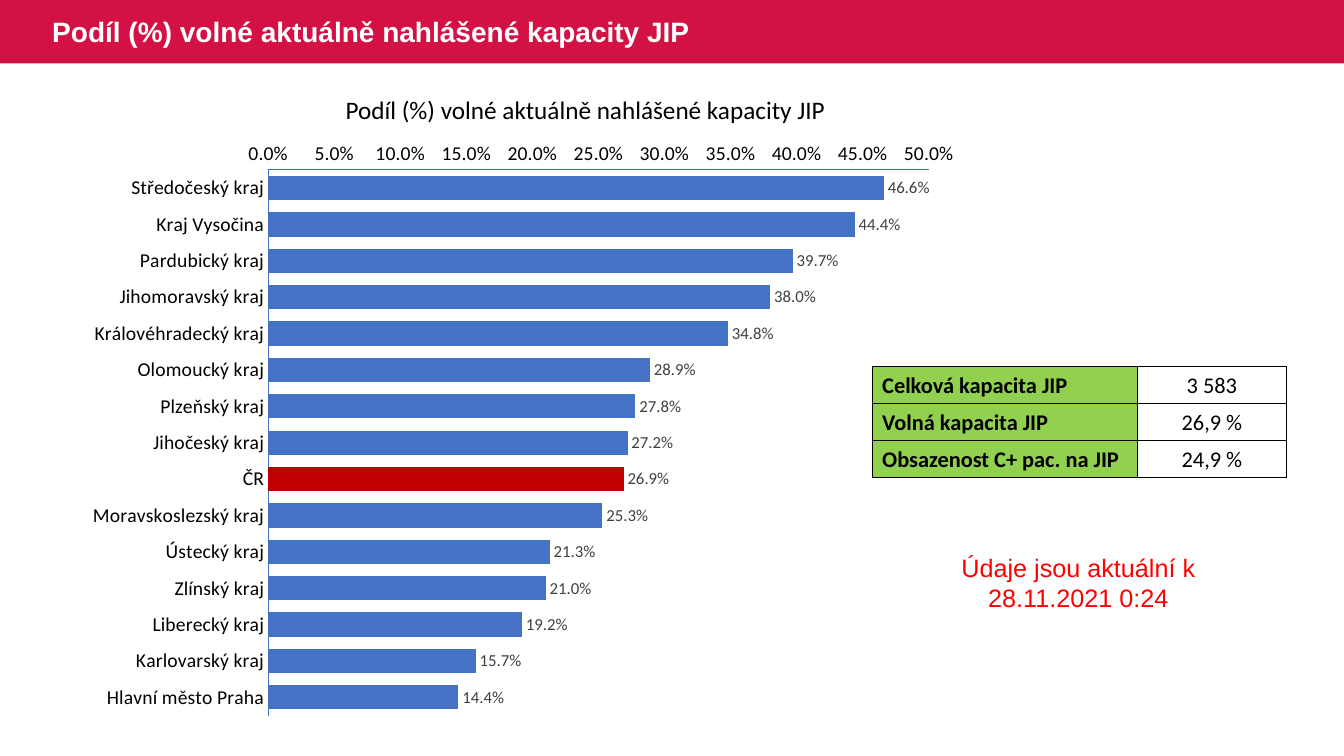
"""Builds the slide on free intensive care capacity by region."""
from lxml import etree
from pptx import Presentation
from pptx.chart.data import CategoryChartData
from pptx.dml.color import RGBColor
from pptx.enum.chart import XL_CHART_TYPE, XL_LABEL_POSITION, XL_TICK_MARK
from pptx.enum.shapes import MSO_SHAPE
from pptx.enum.text import MSO_ANCHOR, PP_ALIGN
from pptx.oxml import parse_xml
from pptx.oxml.ns import nsdecls, qn
from pptx.util import Inches, Pt

BAR_CLUSTERED = XL_CHART_TYPE.BAR_CLUSTERED
OUTSIDE_END = XL_LABEL_POSITION.OUTSIDE_END
NO_TICK = XL_TICK_MARK.NONE
RECTANGLE = MSO_SHAPE.RECTANGLE
TOP, MIDDLE = MSO_ANCHOR.TOP, MSO_ANCHOR.MIDDLE
LEFT, CENTER = PP_ALIGN.LEFT, PP_ALIGN.CENTER

CRIMSON = RGBColor(0xD3, 0x11, 0x45)
WHITE = RGBColor(0xFF, 0xFF, 0xFF)
BLACK = RGBColor(0x00, 0x00, 0x00)
BLUE = RGBColor(0x44, 0x72, 0xC4)
DARK_RED = RGBColor(0xC0, 0x00, 0x00)
GREY = RGBColor(0x40, 0x40, 0x40)
GREEN = RGBColor(0x92, 0xD0, 0x50)
RED = RGBColor(0xFF, 0x00, 0x00)

HEADING = "Podíl (%) volné aktuálně nahlášené kapacity JIP"
COUNTRY = "ČR"
FREE_SHARE = {
    "Středočeský kraj": 0.466,
    "Kraj Vysočina": 0.444,
    "Pardubický kraj": 0.397,
    "Jihomoravský kraj": 0.38,
    "Královéhradecký kraj": 0.348,
    "Olomoucký kraj": 0.289,
    "Plzeňský kraj": 0.278,
    "Jihočeský kraj": 0.272,
    COUNTRY: 0.269,
    "Moravskoslezský kraj": 0.253,
    "Ústecký kraj": 0.213,
    "Zlínský kraj": 0.21,
    "Liberecký kraj": 0.192,
    "Karlovarský kraj": 0.157,
    "Hlavní město Praha": 0.144,
}
SUMMARY = [
    ("Celková kapacita JIP", "3 583"),
    ("Volná kapacita JIP", "26,9 %"),
    ("Obsazenost C+ pac. na JIP", "24,9 %"),
]


def style(font, name, size, color, bold=False):
    font.name, font.size, font.bold = name, Pt(size), bold
    font.color.rgb = color


def add_text(slide, box, text, font, anchor=TOP, align=LEFT):
    frame = slide.shapes.add_textbox(*map(Inches, box)).text_frame
    frame.word_wrap = True
    frame.vertical_anchor = anchor
    paragraph = frame.paragraphs[0]
    paragraph.text = text
    paragraph.alignment = align
    style(paragraph.font, *font)


prs = Presentation()
prs.slide_width, prs.slide_height = Inches(13.33), Inches(7.5)
slide = prs.slides.add_slide(prs.slide_layouts[6])

banner = slide.shapes.add_shape(RECTANGLE, 0, 0, prs.slide_width, Inches(0.63))
banner.shadow.inherit = False
banner.fill.solid()
banner.fill.fore_color.rgb = CRIMSON
banner.line.fill.background()
add_text(slide, (0.42, 0, 11.56, 0.63), HEADING, ("Arial", 20, WHITE, True), MIDDLE)

chart_data = CategoryChartData(number_format="0.0%")
chart_data.categories = list(FREE_SHARE)
chart_data.add_series("Series 1", list(FREE_SHARE.values()))
chart = slide.shapes.add_chart(
    BAR_CLUSTERED, Inches(0.74), Inches(1.3), Inches(8.89), Inches(5.93), chart_data
).chart
chart.has_legend = False
chart.has_title = False
style(chart.font, "Calibri", 10, BLACK)

plot_area = chart.plots[0]._element.getparent()
for old_layout in plot_area.findall(qn("c:layout")):
    plot_area.remove(old_layout)
layout = parse_xml(f"<c:layout {nsdecls('c')}><c:manualLayout/></c:layout>")
for tag, value in [
    ("layoutTarget", "inner"), ("xMode", "edge"), ("yMode", "edge"),
    ("x", "0.216"), ("y", "0.065"), ("w", "0.737"), ("h", "0.913"),
]:
    etree.SubElement(layout[0], qn(f"c:{tag}")).set("val", value)
plot_area.insert(0, layout)

regions, shares = chart.category_axis, chart.value_axis
for axis in (regions, shares):
    axis.major_tick_mark = axis.minor_tick_mark = NO_TICK
    axis.has_major_gridlines = False
    axis.format.line.color.rgb = BLUE
    axis.format.line.width = Pt(0.75)
    style(axis.tick_labels.font, "Calibri", 14, BLACK)
regions.reverse_order = True
shares.minimum_scale, shares.maximum_scale, shares.major_unit = 0, 0.5, 0.05
shares.tick_labels.number_format = "0.0%"
shares.tick_labels.number_format_is_linked = False

plot = chart.plots[0]
plot.gap_width = 50
plot.vary_by_categories = False
bars = plot.series[0]
bars.invert_if_negative = False
country_bar = bars.points[list(FREE_SHARE).index(COUNTRY)]
for bar, color in ((bars, BLUE), (country_bar, DARK_RED)):
    bar.format.fill.solid()
    bar.format.fill.fore_color.rgb = color
labels = bars.data_labels
labels.show_value = True
labels.position = OUTSIDE_END
labels.number_format = "0.0%"
labels.number_format_is_linked = False
style(labels.font, "Calibri", 12, GREY)

add_text(slide, (3.33, 0.89, 5.13, 0.4), HEADING, ("Calibri", 18, BLACK))

table = slide.shapes.add_table(
    len(SUMMARY), 2, Inches(8.65), Inches(3.64), Inches(4.11), Inches(1.1)
).table
table.first_row = table.horz_banding = False
table.columns[0].width, table.columns[1].width = Inches(2.63), Inches(1.48)
for row, texts in enumerate(SUMMARY):
    for column, text in enumerate(texts):
        is_label = column == 0
        cell = table.cell(row, column)
        cell.text = text
        cell.vertical_anchor = TOP if is_label else MIDDLE
        paragraph = cell.text_frame.paragraphs[0]
        paragraph.alignment = LEFT if is_label else CENTER
        style(paragraph.font, "Calibri", 16, BLACK, is_label)
        properties = cell._tc.get_or_add_tcPr()
        for side in ("lnL", "lnR", "lnT", "lnB"):
            properties.append(parse_xml(
                f'<a:{side} {nsdecls("a")} w="{Pt(0.75)}"><a:solidFill>'
                f'<a:srgbClr val="{BLACK}"/></a:solidFill></a:{side}>'
            ))
        if is_label:
            cell.fill.solid()
            cell.fill.fore_color.rgb = GREEN
        else:
            cell.fill.background()

add_text(
    slide, (9.42, 5.43, 2.55, 0.71), "Údaje jsou aktuální k 28.11.2021 0:24",
    ("Arial", 18, RED), align=CENTER,
)

prs.save("out.pptx")
